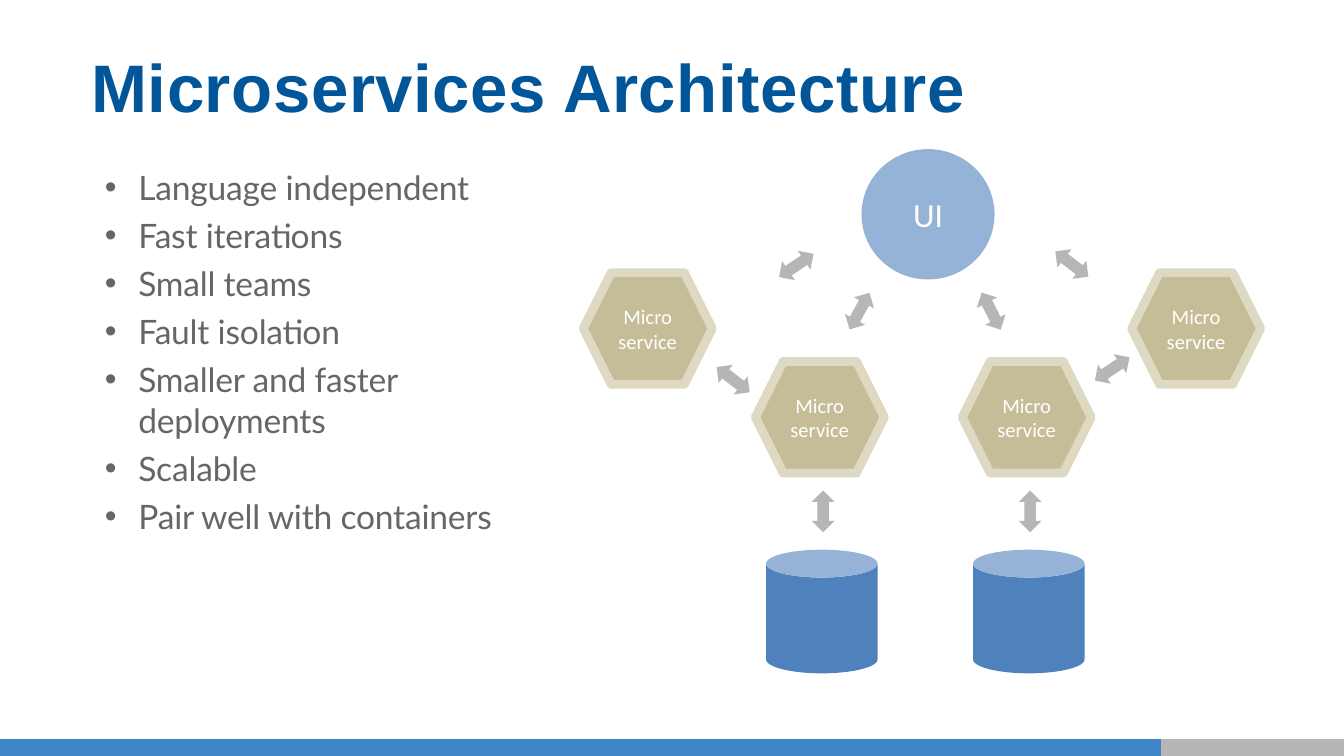
"""Build the Microservices Architecture slide."""
import pptx
import pptx.dml.color
import pptx.enum.shapes
import pptx.enum.text
import pptx.util
from lxml import etree
from pptx.oxml.ns import qn

Inches = pptx.util.Inches
Pt = pptx.util.Pt
SHAPE = pptx.enum.shapes.MSO_SHAPE
ALIGN = pptx.enum.text.PP_ALIGN
ANCHOR = pptx.enum.text.MSO_ANCHOR

THEME = {
    "title": "01569A", "body": "666666", "label": "FFFFFF",
    "bar": "3D85C6", "gray": "B6B6B6", "interface": "95B3D7",
    "database": "4F81BD", "service": "C4BD97", "service_edge": "DDD9C3",
    "title_size": 36, "body_size": 18, "service_size": 11,
    "title_font": "Arial", "body_font": "Lato", "label_font": "Calibri",
}

SLIDE_WIDTH = 10
SLIDE_HEIGHT = SLIDE_WIDTH * 9 / 16
BAR_TOP = 5.5
TITLE = "Microservices Architecture"
BENEFITS = [
    "Language independent",
    "Fast iterations",
    "Small teams",
    "Fault isolation",
    "Smaller and faster deployments",
    "Scalable",
    "Pair well with containers",
]
SERVICE_LABEL = ["Micro", "service"]
OUTER_SERVICES = [(4.34, 2.03), (8.42, 2.03)]
INNER_SERVICES = [(5.62, 2.69), (7.16, 2.69)]
DATABASE_OFFSET = (0.08, 1.4)
DATABASE_ARROW_OFFSET = (0.35, 1.03)
ARROWS = [
    (6.24, 2.23, 118.5), (7.22, 2.23, 62.9),
    (5.77, 1.89, 146.1), (7.82, 1.88, 37.4),
    (8.12, 2.66, 146.1), (5.3, 2.74, 37.4),
]


def color(name):
    return pptx.dml.color.RGBColor.from_string(THEME[name])


def add_bullet(paragraph):
    properties = paragraph._p.get_or_add_pPr()
    properties.set("marL", str(Inches(0.26)))
    properties.set("indent", str(Inches(-0.25)))
    etree.SubElement(properties, qn("a:buFont"), typeface="Arial")
    etree.SubElement(properties, qn("a:buChar"), char="•")
    tabs = etree.SubElement(properties, qn("a:tabLst"))
    etree.SubElement(tabs, qn("a:tab"), pos=str(Inches(0.26)), algn="l")


def write_text(shape, lines, *, font, size, fill, bold=False, align=ALIGN.LEFT,
               anchor=ANCHOR.TOP, top_inset=0, gap=0, tracking=0, bullet=False):
    frame = shape.text_frame
    frame.word_wrap = True
    frame.vertical_anchor = anchor
    frame.margin_left = frame.margin_right = frame.margin_bottom = 0
    frame.margin_top = Inches(top_inset)
    for index, line in enumerate(lines):
        paragraph = frame.add_paragraph() if index else frame.paragraphs[0]
        paragraph.alignment = align
        if bullet:
            add_bullet(paragraph)
        if index and gap:
            paragraph.space_before = Pt(gap)
        run = paragraph.add_run()
        run.text = line
        run.font.name = THEME[font]
        run.font.size = Pt(THEME[size])
        run.font.bold = bold
        run.font.color.rgb = color(fill)
        if tracking:
            run._r.get_or_add_rPr().set("spc", str(round(tracking * 100)))


def add_shape(slide, kind, left, top, width, height, fill, edge=None, angle=0):
    shape = slide.shapes.add_shape(
        kind, Inches(left), Inches(top), Inches(width), Inches(height))
    shape.shadow.inherit = False
    shape.fill.solid()
    shape.fill.fore_color.rgb = color(fill)
    if edge:
        shape.line.color.rgb = color(edge)
        shape.line.width = Pt(4.75)
    else:
        shape.line.fill.background()
    shape.rotation = angle
    return shape


def add_text_box(slide, left, top, width, height, lines, **style):
    shape = slide.shapes.add_textbox(
        Inches(left), Inches(top), Inches(width), Inches(height))
    write_text(shape, lines, top_inset=0.01, **style)


def add_arrow(slide, left, top, angle):
    add_shape(slide, SHAPE.LEFT_RIGHT_ARROW, left, top, 0.31, 0.17, "gray", angle=angle)


def add_diagram(slide):
    label = {"font": "label_font", "fill": "label",
             "align": ALIGN.CENTER, "anchor": ANCHOR.MIDDLE}
    interface = add_shape(slide, SHAPE.OVAL, 6.41, 1.11, 0.99, 0.97, "interface")
    write_text(interface, ["UI"], size="body_size", **label)
    for left, top in OUTER_SERVICES + INNER_SERVICES:
        service = add_shape(slide, SHAPE.HEXAGON, left, top, 0.96, 0.83,
                            "service", edge="service_edge")
        write_text(service, SERVICE_LABEL, size="service_size", **label)
    for left, top in INNER_SERVICES:
        add_shape(slide, SHAPE.CAN, left + DATABASE_OFFSET[0],
                  top + DATABASE_OFFSET[1], 0.83, 0.92, "database")
        add_arrow(slide, left + DATABASE_ARROW_OFFSET[0],
                  top + DATABASE_ARROW_OFFSET[1], 90)
    for arrow in ARROWS:
        add_arrow(slide, *arrow)


def main():
    presentation = pptx.Presentation()
    presentation.slide_width = Inches(SLIDE_WIDTH)
    presentation.slide_height = Inches(SLIDE_HEIGHT)
    slide = presentation.slides.add_slide(presentation.slide_layouts[6])
    add_text_box(slide, 0.68, 0.33, 6.58, 0.63, [TITLE], font="title_font",
                 size="title_size", fill="title", bold=True, tracking=0.3)
    for left, width, fill in [(0, 8.64, "bar"), (8.64, 1.36, "gray")]:
        add_shape(slide, SHAPE.RECTANGLE, left, BAR_TOP, width,
                  SLIDE_HEIGHT - BAR_TOP, fill)
    add_text_box(slide, 0.77, 1.23, 3.4, 2.77, BENEFITS, font="body_font",
                 size="body_size", fill="body", gap=4.2, tracking=-0.1, bullet=True)
    add_diagram(slide)
    presentation.save("out.pptx")


if __name__ == "__main__":
    main()
